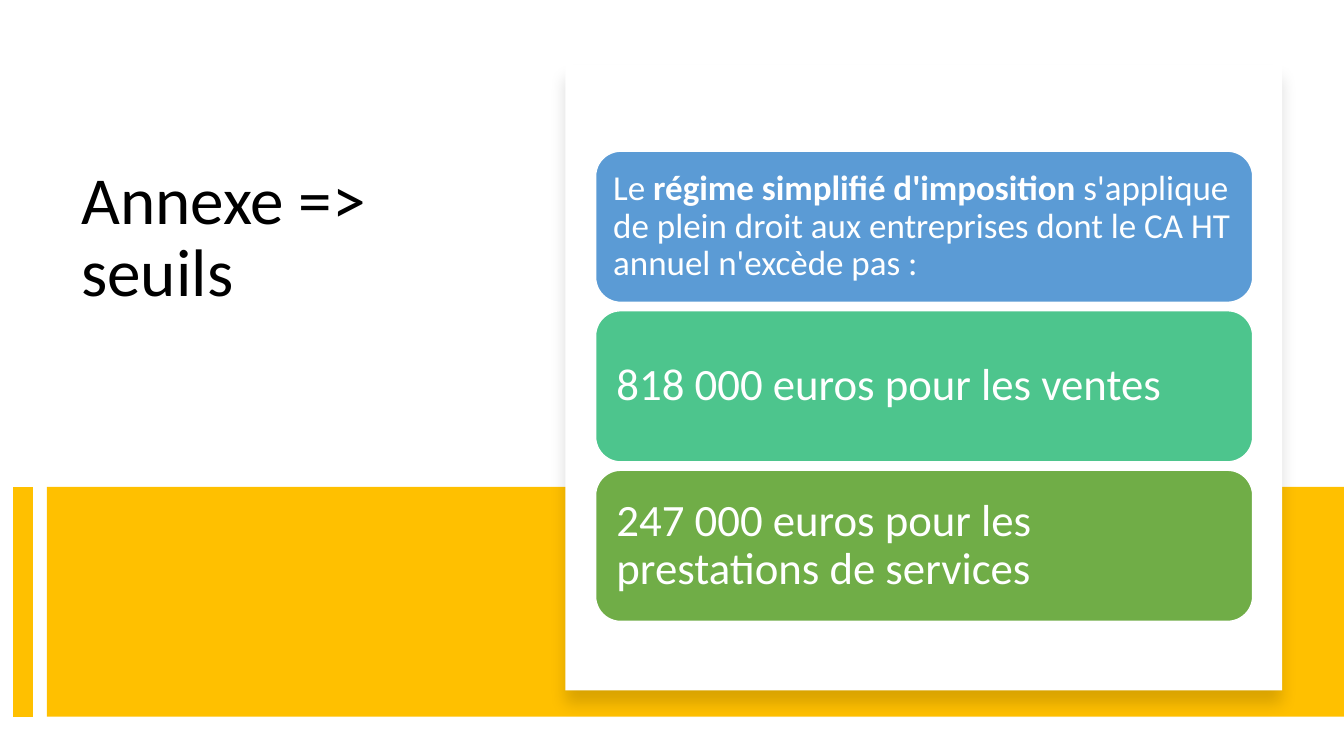
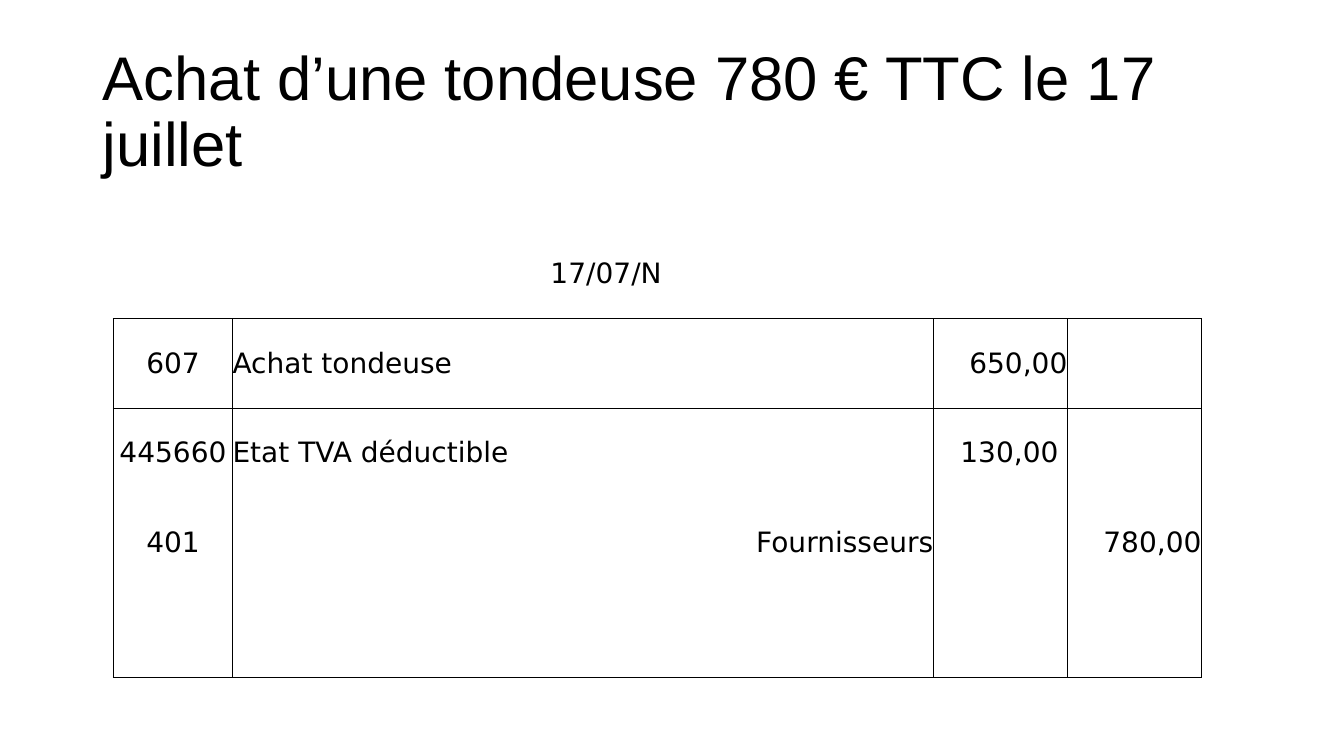
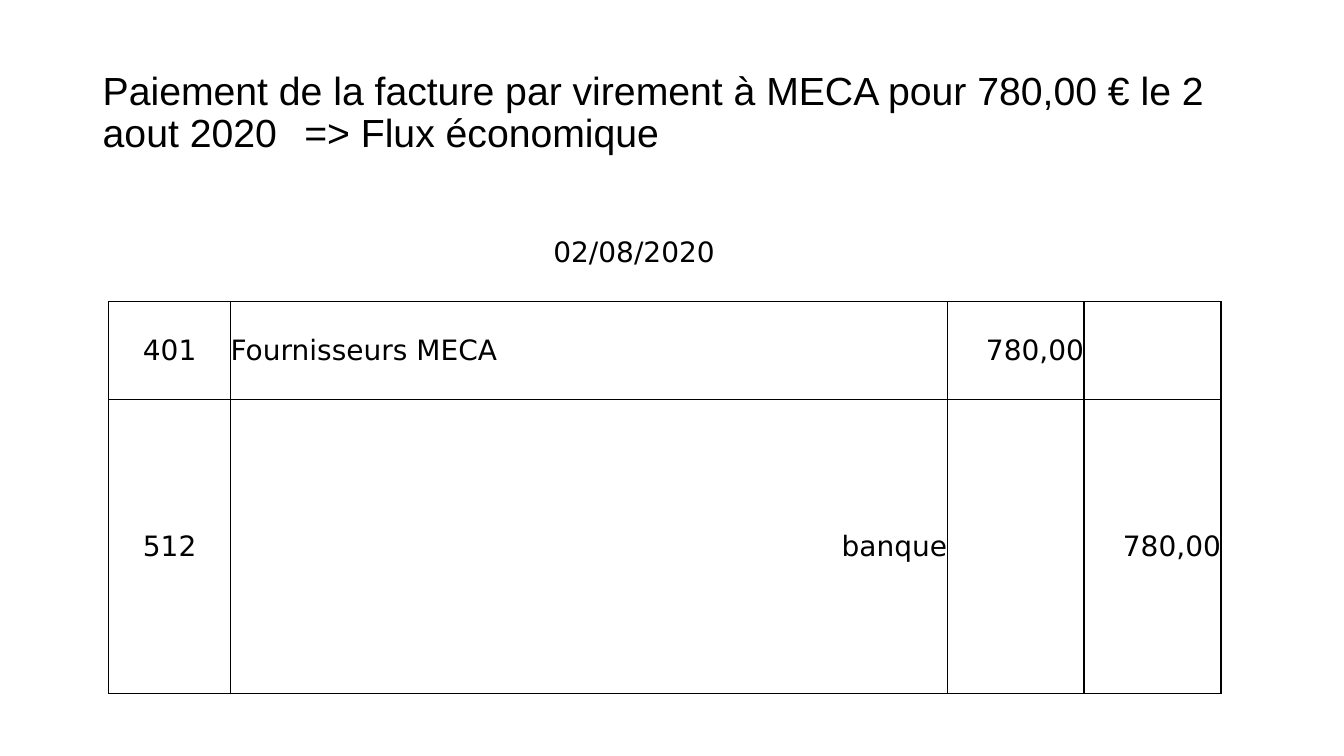
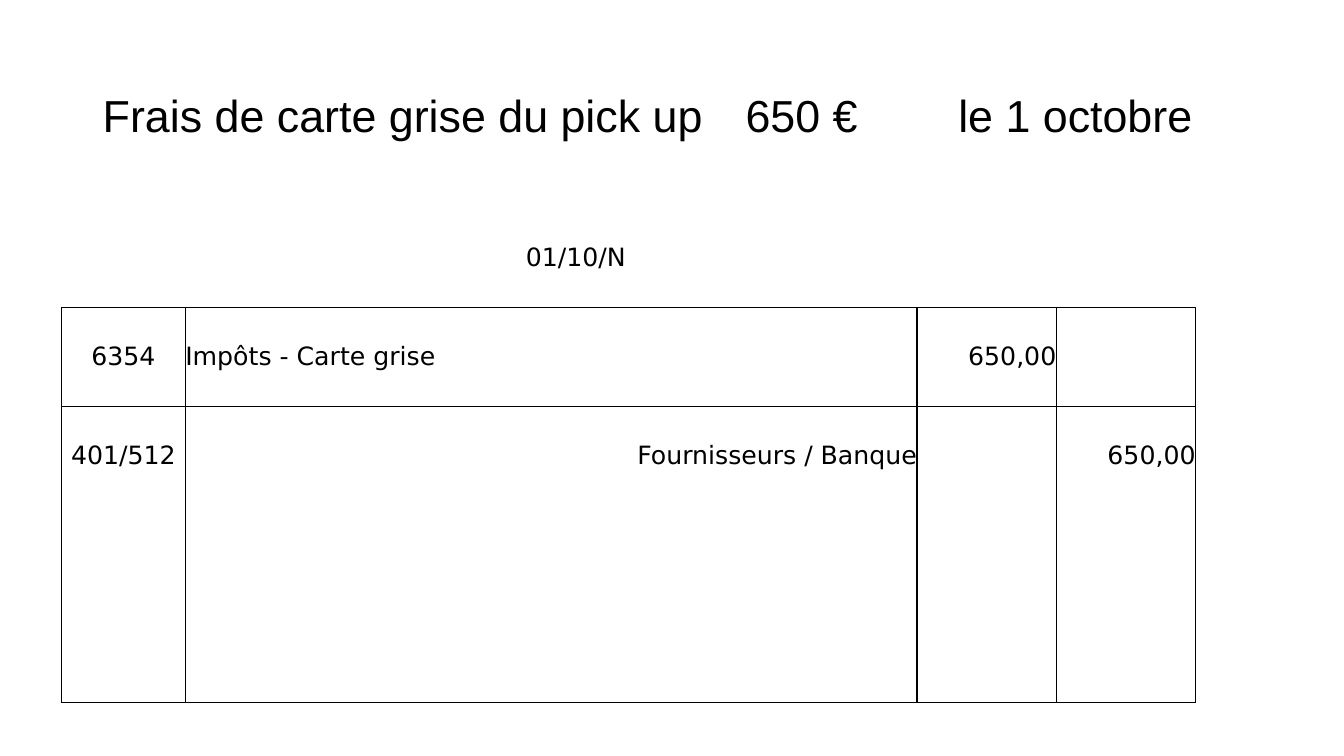
from dataclasses import dataclass

from lxml import etree
from pptx import Presentation
from pptx import util as u
from pptx.dml.color import RGBColor
from pptx.enum import shapes, text
from pptx.oxml import ns

BLACK, WHITE, GOLD = "000000", "FFFFFF", "FFC000"
LEFT, CENTER, RIGHT = text.PP_ALIGN.LEFT, text.PP_ALIGN.CENTER, text.PP_ALIGN.RIGHT
TOP, MIDDLE = text.MSO_ANCHOR.TOP, text.MSO_ANCHOR.MIDDLE
PLAIN_TABLE_STYLE = "{2D5ABB26-0587-4C30-8999-92F81FD0307C}"
LEDGER_ROWS = 5


@dataclass(frozen=True)
class Box:
    """Left, top, width and height in centimetres."""
    left: float
    top: float
    width: float
    height: float

    def lengths(self) -> tuple:
        return tuple(map(u.Cm, (self.left, self.top, self.width, self.height)))


@dataclass(frozen=True)
class Card:
    wording: tuple[str, ...]  # every second piece is bold
    fill: str
    size: float
    inset: float


@dataclass(frozen=True)
class Entry:
    account: str = ""
    label: str = ""
    debit: str = ""
    credit: str = ""


@dataclass(frozen=True)
class Journal:
    title: str
    title_size: float
    date: str
    left: float
    top: float
    columns: tuple[float, ...]
    row_height: float
    entries: tuple[Entry, ...]
    size: float = 20
    title_spacing: float = 0.9
    tabs: tuple[float, ...] = ()


TITLE_BOX = Box(2.34, 1.02, 29.21, 3.68)

CARDS = (
    Card(("Le ", "régime simplifié d'imposition",
          " s'applique de plein droit aux entreprises dont le CA HT annuel n'excède pas :"),
         "5B9BD5", 25, 0.26),
    Card(("818 000 euros pour les ventes",), "4DC58D", 32, 0.34),
    Card(("247 000 euros pour les prestations de services",), "70AD47", 32, 0.34),
)

JOURNALS = (
    Journal("Achat d’une tondeuse 780 € TTC le 17 juillet", 44, "17/07/N",
            2.86, 5.77, (3, 7.65, 3.53, 6.48, 3.38, 3.38), 2.26,
            (Entry("607", "Achat tondeuse", debit="650,00"),
             Entry("445660", "Etat TVA déductible", debit="130,00 "),
             Entry("401", "Fournisseurs", credit="780,00"))),
    Journal("Paiement de la facture par virement à MECA pour 780,00 € le 2 aout 2020"
            "\t=> Flux économique", 28, "02/08/2020",
            2.74, 5.13, (3.07, 7.82, 4.7, 5.54, 3.45, 3.45), 2.47,
            (Entry("401", "Fournisseurs MECA", debit="780,00"),
             Entry(),
             Entry("512", "banque", credit="780,00")),
            tabs=(5.08,)),
    Journal("Frais de carte grise du pick up\t650 €\tle 1 octobre", 32, "01/10/N",
            1.55, 5.26, (3.12, 8, 3.68, 6.76, 3.51, 3.51), 2.49,
            (Entry("6354", "Impôts - Carte grise", debit="650,00"),
             Entry("401/512", "Fournisseurs / Banque", credit="650,00")),
            size=18, title_spacing=1.06, tabs=(16.2, 21.56)),
)


def color(value: str) -> RGBColor:
    return RGBColor.from_string(value)


def sub(parent, tag: str, **attributes):
    """Append a drawing element and return it."""
    values = {key: str(value) for key, value in attributes.items()}
    return etree.SubElement(parent, ns.qn(f"a:{tag}"), values)


def write(frame, *wording: str, size: float, font: str = "Calibri", fill: str = BLACK,
          align=LEFT, spacing: float = 1.0, tabs: tuple[float, ...] = ()) -> None:
    """Fill the first paragraph; every second piece is bold."""
    paragraph = frame.paragraphs[0]
    paragraph.alignment = align
    paragraph.line_spacing = spacing
    if tabs:
        stops = sub(paragraph._p.get_or_add_pPr(), "tabLst")
        for stop in tabs:
            sub(stops, "tab", pos=int(u.Cm(stop)), algn="l")
    for index, piece in enumerate(wording):
        run = paragraph.add_run()
        run.text = piece
        run.font.size = u.Pt(size)
        run.font.name = font
        run.font.bold = index % 2 == 1
        run.font.color.rgb = color(fill)


def add_title(slide, title: str, box: Box = TITLE_BOX, anchor=MIDDLE, **style) -> None:
    frame = slide.shapes.add_textbox(*box.lengths()).text_frame
    frame.word_wrap = True
    frame.vertical_anchor = anchor
    write(frame, title, **style)


def add_block(slide, box: Box, fill: str, kind=shapes.MSO_SHAPE.RECTANGLE):
    block = slide.shapes.add_shape(kind, *box.lengths())
    block.shadow.inherit = False
    block.fill.solid()
    block.fill.fore_color.rgb = color(fill)
    block.line.fill.background()
    return block


def add_stripe(slide, x: float, top: float, bottom: float) -> None:
    stripe = slide.shapes.add_connector(
        shapes.MSO_CONNECTOR.STRAIGHT, *map(u.Cm, (x, top, x, bottom)))
    stripe.line.color.rgb = color(GOLD)
    stripe.line.width = u.Pt(14)
    sub(stripe._element.spPr, "effectLst")


def drop_shadow(block) -> None:
    effects = block._element.spPr.find(ns.qn("a:effectLst"))
    shadow = sub(effects, "outerShdw", blurRad=int(u.Pt(11)), dist=int(u.Pt(10)),
                 dir=90 * 60000, algn="t", rotWithShape=0)
    sub(sub(shadow, "srgbClr", val=BLACK), "alpha", val=15000)


def add_card(slide, card: Card, box: Box) -> None:
    block = add_block(slide, box, card.fill, shapes.MSO_SHAPE.ROUNDED_RECTANGLE)
    block.line.color.rgb = color(WHITE)
    block.line.width = u.Pt(1)
    frame = block.text_frame
    frame.word_wrap = True
    frame.vertical_anchor = MIDDLE
    frame.margin_left = frame.margin_right = u.Cm(card.inset)
    frame.margin_top = frame.margin_bottom = u.Cm(card.inset)
    write(frame, *card.wording, size=card.size, fill=WHITE, spacing=0.9)


def add_thresholds(slide) -> None:
    band = Box(1.18, 12.27, 32.69, 5.79)
    add_title(slide, "Annexe => seuils", Box(1.8, 4.06, 10.54, 7.47), TOP,
              size=48, spacing=0.9)
    add_block(slide, band, GOLD)
    add_stripe(slide, 0.58, band.top, band.top + band.height)
    drop_shadow(add_block(slide, Box(14.25, 1.63, 18.06, 15.77), WHITE))
    height, gap = 3.81, 0.21
    for index, card in enumerate(CARDS):
        add_card(slide, card, Box(15.01, 3.81 + index * (height + gap), 16.56, height))


def set_borders(cell, sides: str) -> None:
    properties = cell._tc.get_or_add_tcPr()
    for side in "LRTB":
        if side in sides:
            line = sub(properties, f"ln{side}", w=int(u.Pt(1)))
            sub(sub(line, "solidFill"), "srgbClr", val=BLACK)


def ledger_sides(row: int) -> str:
    if row == 0:
        return "B"
    return "LR" + ("T" if row == 1 else "") + ("B" if row == LEDGER_ROWS - 1 else "")


def add_ledger(slide, journal: Journal) -> None:
    box = Box(journal.left, journal.top, sum(journal.columns),
              LEDGER_ROWS * journal.row_height)
    table = slide.shapes.add_table(
        LEDGER_ROWS, len(journal.columns), *box.lengths()).table
    table.first_row = table.horz_banding = False
    table._tbl.tblPr.find(ns.qn("a:tableStyleId")).text = PLAIN_TABLE_STYLE
    for column, width in zip(table.columns, journal.columns):
        column.width = u.Cm(width)

    contents = {(0, 2): (journal.date, CENTER)}
    for row, entry in enumerate(journal.entries, start=1):
        contents[row, 0] = entry.account, CENTER
        contents[row, 1] = entry.label, RIGHT if entry.credit else LEFT
        contents[row, 4] = entry.debit, RIGHT
        contents[row, 5] = entry.credit, RIGHT

    for row in range(LEDGER_ROWS):
        table.rows[row].height = u.Cm(journal.row_height)
        if row:
            table.cell(row, 1).merge(table.cell(row, 3))
        for column in range(len(journal.columns)):
            cell = table.cell(row, column)
            if cell.is_spanned:
                continue
            set_borders(cell, ledger_sides(row))
            cell.fill.background()
            cell.vertical_anchor = MIDDLE
            cell.margin_left = cell.margin_right = 0
            cell.margin_top = cell.margin_bottom = 0
            content, align = contents.get((row, column), ("", LEFT))
            if content:
                write(cell.text_frame, content, size=journal.size,
                      font="DejaVu Sans", align=align)


def main() -> None:
    deck = Presentation()
    deck.slide_width, deck.slide_height = u.Cm(33.87), u.Cm(19.05)
    blank = deck.slide_layouts[6]
    add_thresholds(deck.slides.add_slide(blank))
    for journal in JOURNALS:
        slide = deck.slides.add_slide(blank)
        add_title(slide, journal.title, size=journal.title_size, font="Arial",
                  spacing=journal.title_spacing, tabs=journal.tabs)
        add_ledger(slide, journal)
    deck.save("out.pptx")


if __name__ == "__main__":
    main()
